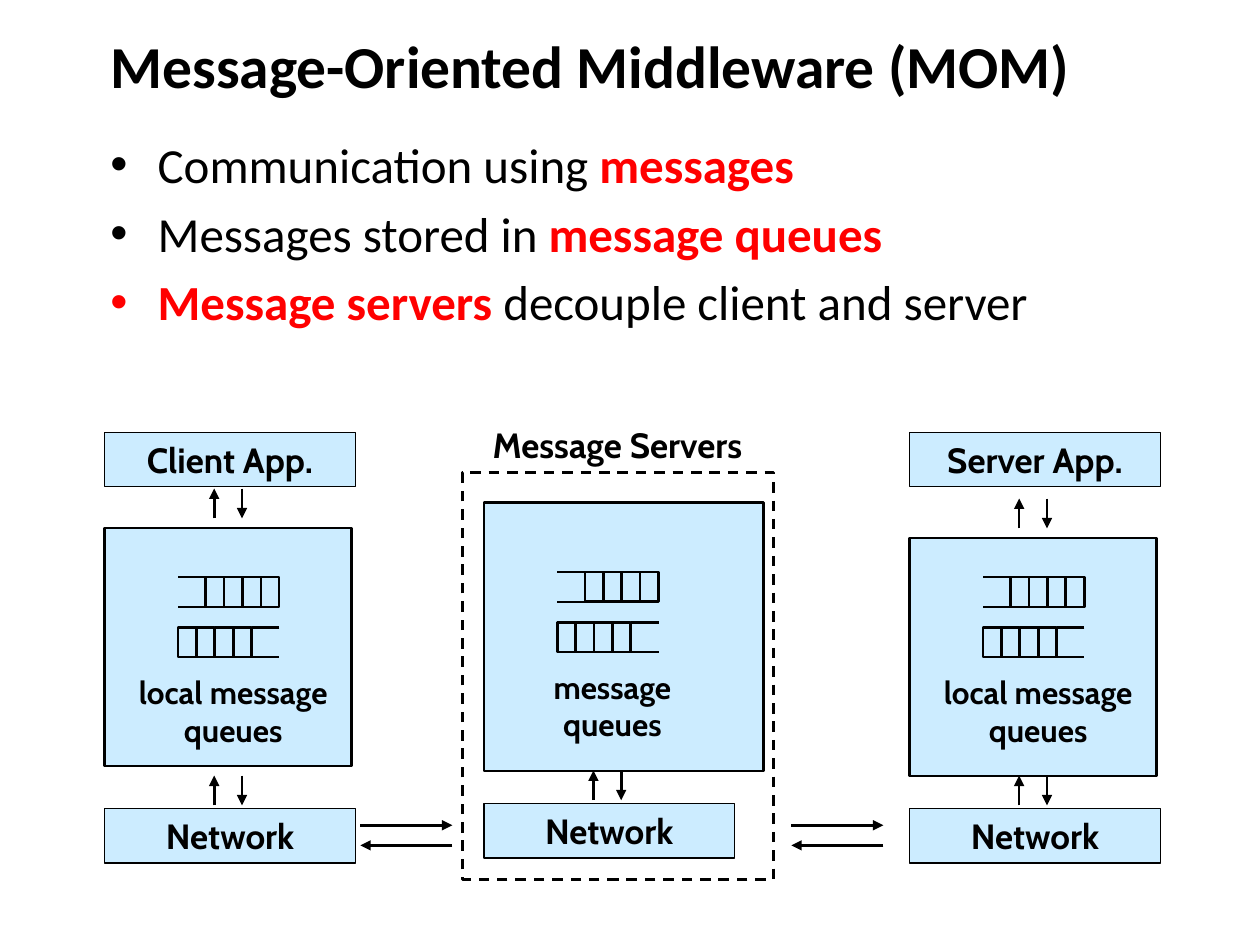
from dataclasses import dataclass
from itertools import pairwise
from typing import Optional

from lxml import etree
from pptx import Presentation
from pptx.dml.color import RGBColor
from pptx.enum.dml import MSO_LINE
from pptx.enum.shapes import MSO_CONNECTOR, MSO_SHAPE
from pptx.enum.text import MSO_ANCHOR, PP_ALIGN
from pptx.oxml.ns import qn
from pptx.util import Pt

RECT = MSO_SHAPE.RECTANGLE
STRAIGHT = MSO_CONNECTOR.STRAIGHT
DASH = MSO_LINE.DASH
TOP, MIDDLE = MSO_ANCHOR.TOP, MSO_ANCHOR.MIDDLE
LEFT, CENTER = PP_ALIGN.LEFT, PP_ALIGN.CENTER

COLORS = {"ink": "000000", "accent": "FF0000", "box": "CCECFF"}
HEADING_FONT, DIAGRAM_FONT = "Calibri", "Cabin"

LABEL_W, LABEL_H = 143.3, 31
CELL_W, CELL_H, CELL_COUNT, OPEN_W = 10.5, 17, 4, 15.8
QUEUE_INDENT, QUEUE_STEP = 42, 28.7
CAPTION_DROP, NETWORK_DROP = 51.1, 132.4
UP_INDENT, DOWN_INDENT, ARROW_H = 62.6, 78.5, 17
LINK_W, LINK_TOP, LINK_BOTTOM = 52.6, 471.6, 483.1


@dataclass
class Node:
    left: float
    panel_top: float
    panel_w: float
    panel_h: float
    queue_top: float
    caption: str
    app: Optional[str] = None


@dataclass
class Bullet:
    runs: list[tuple[str, bool]]


NODES = [
    Node(59.8, 301.7, 141.1, 136.1, 329.8, "local message\nqueues", "Client App."),
    Node(519.8, 307.4, 141.1, 136.1, 329.8, "local message\nqueues", "Server App."),
    Node(276.5, 287.3, 159.8, 153.4, 326.9, "message\nqueues"),
]
APP_TOP = 247
LINK_LEFTS = [205.9, 452.2]

BULLETS = [
    Bullet([("Communication using ", False), ("messages", True)]),
    Bullet([("Messages stored in ", False), ("message queues", True)]),
    Bullet([("Message servers", True), (" decouple client and server", False)]),
]


def rgb(name: str) -> RGBColor:
    return RGBColor.from_string(COLORS[name])


def style_font(font, name: str, size: float, bold: bool, color: str = "ink") -> None:
    font.name, font.size, font.bold = name, Pt(size), bold
    font.color.rgb = rgb(color)


def add_box(shapes, left: float, top: float, width: float, height: float,
            weight: float = 1.5, fill: Optional[str] = None):
    box = shapes.add_shape(RECT, Pt(left), Pt(top), Pt(width), Pt(height))
    box.shadow.inherit = False
    if fill:
        box.fill.solid()
        box.fill.fore_color.rgb = rgb(fill)
    else:
        box.fill.background()
    box.line.color.rgb = rgb("ink")
    box.line.width = Pt(weight)
    return box


def write_centered(holder, text: str, size: float, anchor=TOP) -> None:
    frame = holder.text_frame
    frame.word_wrap = True
    frame.vertical_anchor = anchor
    frame.text = text
    for paragraph in frame.paragraphs:
        paragraph.alignment = CENTER
        for run in paragraph.runs:
            style_font(run.font, DIAGRAM_FONT, size, True)


def add_label(shapes, left: float, top: float, text: str) -> None:
    label = add_box(shapes, left, top, LABEL_W, LABEL_H, 0.75, "box")
    write_centered(label, text, 20, MIDDLE)


def add_caption(shapes, left: float, top: float, width: float, height: float,
                text: str, size: float) -> None:
    caption = shapes.add_textbox(Pt(left), Pt(top), Pt(width), Pt(height))
    write_centered(caption, text, size)


def add_line(shapes, start: tuple[float, float], end: tuple[float, float],
             arrow: bool = False) -> None:
    line = shapes.add_connector(STRAIGHT, *(Pt(v) for v in (*start, *end)))
    line.line.color.rgb = rgb("ink")
    line.line.width = Pt(1.5)
    if arrow:
        etree.SubElement(line.line._get_or_add_ln(), qn("a:tailEnd"), type="triangle")
    etree.SubElement(line._element.spPr, qn("a:effectLst"))


def add_queue(shapes, left: float, top: float, opens_left: bool) -> None:
    queue = shapes.add_group_shape().shapes
    cells_w = CELL_COUNT * CELL_W
    cells_left = left + OPEN_W if opens_left else left
    mouth = left if opens_left else left + cells_w + OPEN_W
    edge = cells_left if opens_left else left + cells_w
    bottom = top + CELL_H
    outline = [(mouth, top), (edge, top), (edge, bottom), (mouth, bottom)]
    for start, end in pairwise(outline):
        add_line(queue, start, end)
    for i in range(CELL_COUNT):
        add_box(queue, cells_left + i * CELL_W, top, CELL_W, CELL_H)


def add_exchange(shapes, left: float, top: float) -> None:
    exchange = shapes.add_group_shape().shapes
    up, down, bottom = left + UP_INDENT, left + DOWN_INDENT, top + ARROW_H
    add_line(exchange, (down, top), (down, bottom), arrow=True)
    add_line(exchange, (up, bottom), (up, top), arrow=True)


def add_node(shapes, node: Node) -> None:
    add_box(shapes, node.left, node.panel_top, node.panel_w, node.panel_h, fill="box")
    queue_left = node.left + QUEUE_INDENT
    add_queue(shapes, queue_left, node.queue_top, opens_left=True)
    add_queue(shapes, queue_left, node.queue_top + QUEUE_STEP, opens_left=False)
    add_caption(shapes, node.left, node.queue_top + CAPTION_DROP, 146.9, 50.4,
                node.caption, 18)
    network_top = node.queue_top + NETWORK_DROP
    add_label(shapes, node.left, network_top, "Network")
    add_exchange(shapes, node.left, network_top - 19)
    if node.app:
        add_label(shapes, node.left, APP_TOP, node.app)
        add_exchange(shapes, node.left, node.panel_top - 22.5)


def add_title(slide, text: str) -> None:
    title = slide.shapes.title
    title.left, title.top, title.width, title.height = Pt(56), Pt(13), Pt(597), Pt(48)
    frame = title.text_frame
    frame.text = text
    frame.vertical_anchor = MIDDLE
    frame.paragraphs[0].alignment = LEFT
    style_font(frame.paragraphs[0].runs[0].font, HEADING_FONT, 34, True)


def add_bullets(shapes, bullets: list[Bullet]) -> None:
    frame = shapes.add_textbox(Pt(56), Pt(73.4), Pt(633), Pt(124)).text_frame
    frame.word_wrap = True
    for i, bullet in enumerate(bullets):
        paragraph = frame.paragraphs[0] if i == 0 else frame.add_paragraph()
        props = paragraph._p.get_or_add_pPr()
        props.set("marL", str(Pt(27)))
        props.set("indent", str(-Pt(27)))
        bullet_color = etree.SubElement(props, qn("a:buClr"))
        first_color = "accent" if bullet.runs[0][1] else "ink"
        etree.SubElement(bullet_color, qn("a:srgbClr"), val=COLORS[first_color])
        etree.SubElement(props, qn("a:buFont"), typeface="Arial")
        etree.SubElement(props, qn("a:buChar"), char="•")
        if i:
            paragraph.space_before = Pt(5.6)
        for text, emphasized in bullet.runs:
            run = paragraph.add_run()
            run.text = text
            style_font(run.font, HEADING_FONT, 28, emphasized,
                       "accent" if emphasized else "ink")


def main() -> None:
    deck = Presentation()
    deck.slide_width, deck.slide_height = Pt(720), Pt(540)
    slide = deck.slides.add_slide(deck.slide_layouts[5])
    shapes = slide.shapes
    add_title(slide, "Message-Oriented Middleware (MOM)")
    add_bullets(shapes, BULLETS)
    for node in NODES:
        add_node(shapes, node)
    for left in LINK_LEFTS:
        right = left + LINK_W
        add_line(shapes, (left, LINK_TOP), (right, LINK_TOP), arrow=True)
        add_line(shapes, (right, LINK_BOTTOM), (left, LINK_BOTTOM), arrow=True)
    add_caption(shapes, 270.7, 238.3, 164.2, 54.7, "Message Servers", 20)
    servers_frame = add_box(shapes, 264.2, 270, 177.8, 232.6)
    servers_frame.line.dash_style = DASH
    deck.save("out.pptx")


if __name__ == "__main__":
    main()
